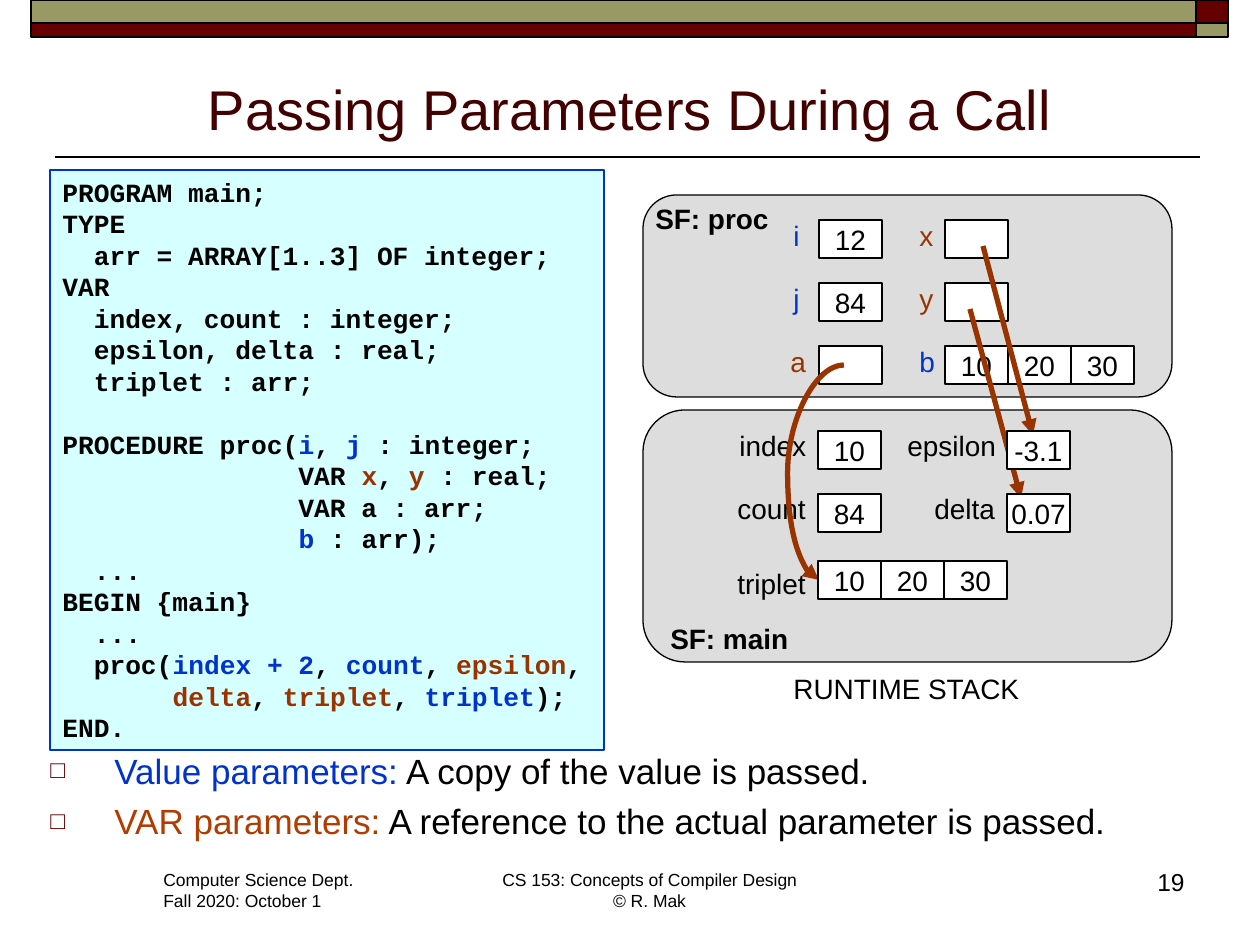
from lxml.etree import SubElement
from pptx import Presentation
from pptx.dml.color import RGBColor
from pptx.enum.shapes import MSO_CONNECTOR, MSO_SHAPE
from pptx.enum.text import MSO_ANCHOR, MSO_AUTO_SIZE, PP_ALIGN
from pptx.oxml.ns import qn
from pptx.util import Pt

EMU_PER_PX = 914400 / 126
BLACK = RGBColor(0x00, 0x00, 0x00)
WHITE = RGBColor(0xFF, 0xFF, 0xFF)
MAROON = RGBColor(0x66, 0x00, 0x00)
OLIVE = RGBColor(0x99, 0x99, 0x66)
TITLE = RGBColor(0x42, 0x00, 0x00)
BLUE = RGBColor(0x00, 0x33, 0xCC)
RUST = RGBColor(0x99, 0x33, 0x00)
ORANGE = RGBColor(0xB2, 0x3C, 0x00)
CYAN = RGBColor(0xD6, 0xFF, 0xFF)
GRAY = RGBColor(0xDD, 0xDD, 0xDD)

CELL_W, CELL_H, ROW = 63, 38, 63
LABEL_H, LABEL_RISE = 47, 8

CODE = [
    ["PROGRAM main;"],
    ["TYPE"],
    ["  arr = ARRAY[1..3] OF integer;"],
    ["VAR"],
    ["  index, count : integer;"],
    ["  epsilon, delta : real;"],
    ["  triplet : arr;"],
    ["PROCEDURE proc(", ("i", BLUE), ", ", ("j", BLUE), " : integer; "],
    ["               VAR ", ("x", RUST), ", ", ("y", RUST), " : real;"],
    ["               VAR a : arr;"],
    ["               ", ("b", BLUE), " : arr);"],
    ["  ..."],
    ["BEGIN {main}"],
    ["  ..."],
    ["  proc(", ("index + 2", BLUE), ", ", ("count", BLUE), ", ", ("epsilon", RUST), ","],
    ["       ", ("delta", RUST), ", ", ("triplet", RUST), ", ", ("triplet", BLUE), ");"],
    ["END."],
]
PROCEDURE_LINE = 7


def px(n):
    """Turn pixels into EMU."""
    return round(n * EMU_PER_PX)


def write(tf, paragraphs, size, font="Arial", bold=False, align=PP_ALIGN.LEFT, color=BLACK):
    """Fill a text frame; each paragraph lists strings or (string, colour) pairs."""
    for i, runs in enumerate(paragraphs):
        p = tf.paragraphs[0] if i == 0 else tf.add_paragraph()
        p.alignment = align
        for run in runs:
            text, run_color = (run, color) if isinstance(run, str) else run
            if text == "\n":
                p.add_line_break()
                continue
            r = p.add_run()
            r.text = text
            r.font.size, r.font.name, r.font.bold = Pt(size), font, bold
            r.font.color.rgb = run_color


def add_text(s, x, y, w, h, paragraphs, size, wrap=False, **style):
    """Add a text box and return its frame."""
    tf = s.shapes.add_textbox(px(x), px(y), px(w), px(h)).text_frame
    tf.word_wrap = wrap
    write(tf, paragraphs, size, **style)
    return tf


def add_box(s, x, y, w, h, fill, line=BLACK, width=0.75, kind=MSO_SHAPE.RECTANGLE):
    """Add a filled, outlined shape."""
    sp = s.shapes.add_shape(kind, px(x), px(y), px(w), px(h))
    sp.shadow.inherit = False
    sp.fill.solid()
    sp.fill.fore_color.rgb = fill
    sp.line.color.rgb = line
    sp.line.width = Pt(width)
    return sp


def add_line(s, x1, y1, x2, y2, color, width, kind=MSO_CONNECTOR.STRAIGHT, arrow=False):
    """Add a connector, with an arrowhead at its end if asked."""
    c = s.shapes.add_connector(kind, px(x1), px(y1), px(x2), px(y2))
    c.line.color.rgb = color
    c.line.width = Pt(width)
    if arrow:
        SubElement(c.line._get_or_add_ln(), qn("a:tailEnd"), type="triangle")
    SubElement(c._element.spPr, qn("a:effectLst"))
    return c


def add_label(s, x, y, w, text, color=BLACK, bold=False):
    """Add a 16-point label."""
    add_text(s, x, y, w, LABEL_H, [[text]], 16, color=color, bold=bold)


def add_cells(s, x, y, values):
    """Add a row of adjoining memory cells."""
    for i, value in enumerate(values):
        tf = add_box(s, x + i * CELL_W, y, CELL_W, CELL_H, WHITE).text_frame
        tf.word_wrap = False
        tf.vertical_anchor = MSO_ANCHOR.MIDDLE
        if value:
            write(tf, [[value]], 16, align=PP_ALIGN.CENTER)


def add_banner(s, x, y, w):
    """Draw the two-tone bar across the top and the rule under the title."""
    corner, top, bottom = 32, 23, 14
    wide = w - corner
    add_line(s, x + 1169, y + 157, x + 24, y + 157, BLACK, 1)
    for row_y, h, left, right in ((y, top, OLIVE, MAROON), (y + top, bottom, MAROON, OLIVE)):
        add_box(s, x, row_y, wide, h, left, width=1)
        add_box(s, x + wide, row_y, corner, h, right, width=1)


def add_title(s, x, y, w, h):
    """Place and format the title placeholder."""
    sp = s.shapes.title
    sp.left, sp.top, sp.width, sp.height = px(x), px(y), px(w), px(h)
    tf = sp.text_frame
    tf.auto_size = MSO_AUTO_SIZE.NONE
    tf.vertical_anchor = MSO_ANCHOR.BOTTOM
    write(tf, [["Passing Parameters During a Call"]], 32, align=PP_ALIGN.CENTER, color=TITLE)


def add_code(s, x, y, w, h):
    """Add the program listing."""
    tf = add_box(s, x, y, w, h, CYAN, BLUE).text_frame
    tf.word_wrap = True
    tf.vertical_anchor = MSO_ANCHOR.TOP
    write(tf, CODE, 15, font="Courier New", bold=True)
    for p in tf.paragraphs:
        p.line_spacing = Pt(18)
    tf.paragraphs[PROCEDURE_LINE].space_before = Pt(18)


def add_bullets(s, x, y, w, h):
    """Add the two bulleted definitions."""
    tf = add_text(s, x, y, w, h, [
        [("Value parameters:", BLUE), " A copy of the value is passed."],
        [("VAR parameters:", ORANGE), " A reference to the actual parameter is passed."],
    ], 20, wrap=True)
    for p in tf.paragraphs:
        p.space_before = Pt(5)
        pPr = p._p.get_or_add_pPr()
        pPr.set("marL", str(px(64)))
        pPr.set("indent", str(-px(64)))
        SubElement(SubElement(pPr, qn("a:buClr")), qn("a:srgbClr"), val=str(MAROON))
        SubElement(pPr, qn("a:buSzPct"), val="70000")
        SubElement(pPr, qn("a:buFont"), typeface="Arial")
        SubElement(pPr, qn("a:buChar"), char="□")


def add_main_frame(s, x, y, w, h):
    """Draw the stack frame of main with its variable names."""
    add_box(s, x, y, w, h, GRAY, kind=MSO_SHAPE.ROUNDED_RECTANGLE)
    for dx, dy, label_w, name in ((84, 12, 100, "index"), (82, 75, 100, "count"),
                                  (252, 12, 120, "epsilon"), (279, 75, 94, "delta"),
                                  (82, 150, 100, "triplet")):
        add_label(s, x + dx, y + dy, label_w, name)
    add_label(s, x + 15, y + 205, 149, "SF: main", bold=True)


def add_main_values(s, x, y):
    """Add the memory cells of main."""
    for dx, dy, values in ((175, 21, ["10"]), (175, 84, ["84"]), (364, 21, ["-3.1"]),
                           (364, 84, ["0.07"]), (175, 151, ["10", "20", "30"])):
        add_cells(s, x + dx, y + dy, values)


def add_proc_frame(s, x, y, w, h):
    """Draw the stack frame of proc with its parameters."""
    add_box(s, x, y, w, h, GRAY, kind=MSO_SHAPE.ROUNDED_RECTANGLE)
    add_label(s, x, y, 150, "SF: proc", bold=True)
    columns = (
        (176, ((138, "i", BLUE, ["12"]), (138, "j", BLUE, ["84"]), (135, "a", RUST, [""]))),
        (302, ((264, "x", RUST, [""]), (264, "y", RUST, [""]), (264, "b", BLUE, ["10", "20", "30"]))),
    )
    for cell_x, entries in columns:
        for i, (label_x, name, color, values) in enumerate(entries):
            cell_y = y + 25 + i * ROW
            add_label(s, x + label_x, cell_y - LABEL_RISE, 46, name, color)
            add_cells(s, x + cell_x, cell_y, values)


def add_references(s, x, y):
    """Draw the arrows from the VAR parameters to their variables."""
    add_line(s, x + 340, y + 51, x + 390, y + 240, RUST, 3, arrow=True)
    add_line(s, x + 327, y + 114, x + 378, y + 303, RUST, 3, arrow=True)
    c = add_line(s, x + 201, y + 170, x + 176, y + 385, RUST, 3, MSO_CONNECTOR.CURVE, True)
    geom = c._element.spPr.find(qn("a:prstGeom"))
    av = geom.find(qn("a:avLst"))
    if av is None:
        av = SubElement(geom, qn("a:avLst"))
    SubElement(av, qn("a:gd"), name="adj1", fmla="val 225200")


def add_stack(s, x, y):
    """Draw the runtime stack: both frames, the references and the caption."""
    main_y = y + 215
    add_main_frame(s, x, main_y, 529, 252)
    add_proc_frame(s, x, y, 529, 202)
    add_label(s, x + 138, y + 470, 260, "RUNTIME STACK")
    add_references(s, x, y)
    add_main_values(s, x, main_y)


def add_footer(s, x, y):
    """Add the department, the course and the slide number."""
    add_text(s, x, y, 225, 55, [["Computer Science Dept."], ["Fall 2020: October 1"]], 10)
    add_text(s, x + 333, y, 331, 55, [["CS 153: Concepts of Compiler Design", "\n", "© R. Mak"]],
             10, align=PP_ALIGN.CENTER)
    add_text(s, x + 958, y - 2, 88, 63, [["19"]], 14, wrap=True, align=PP_ALIGN.RIGHT)


prs = Presentation()
prs.slide_width, prs.slide_height = px(1260), px(945)
s = prs.slides.add_slide(prs.slide_layouts[5])
add_banner(s, 31, 0, 1197)
add_title(s, 63, 57, 1134, 91)
add_bullets(s, 38, 743, 1159, 107)
add_code(s, 50, 170, 554, 580)
add_stack(s, 643, 195)
add_footer(s, 151, 863)
prs.save("out.pptx")
